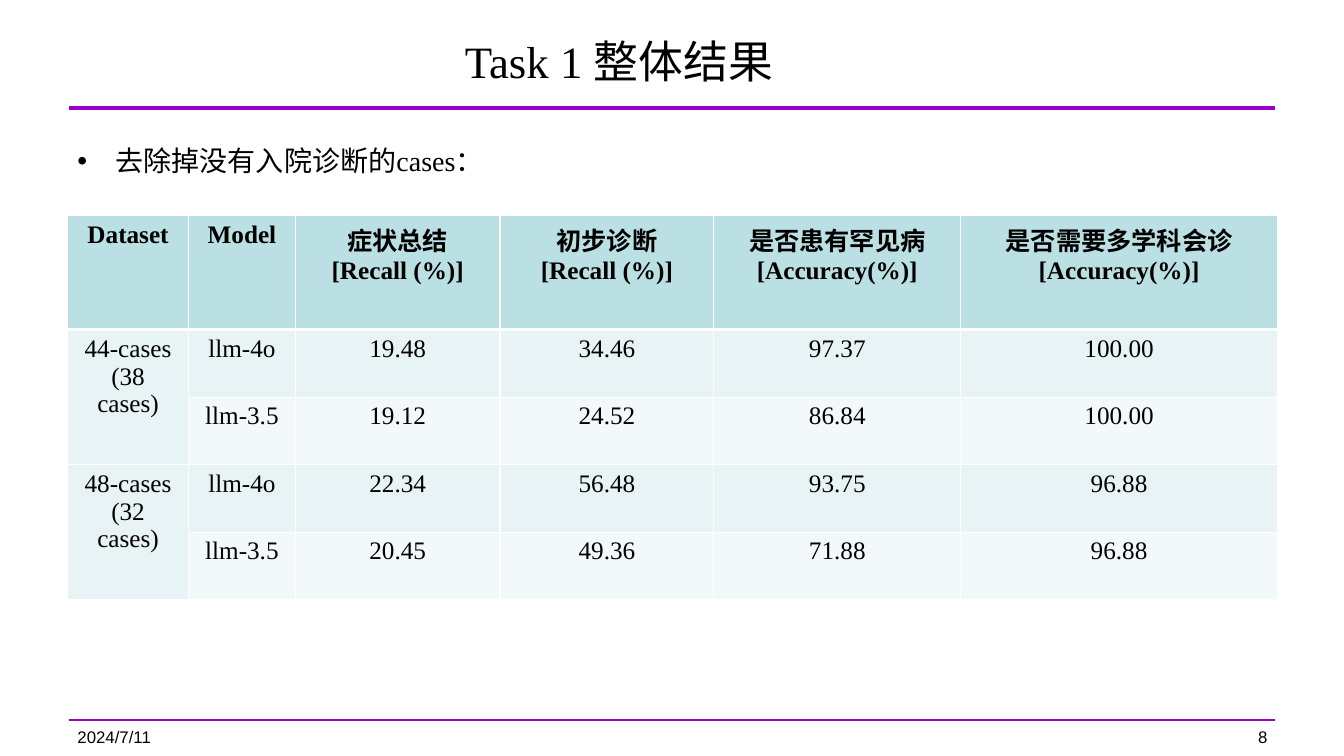
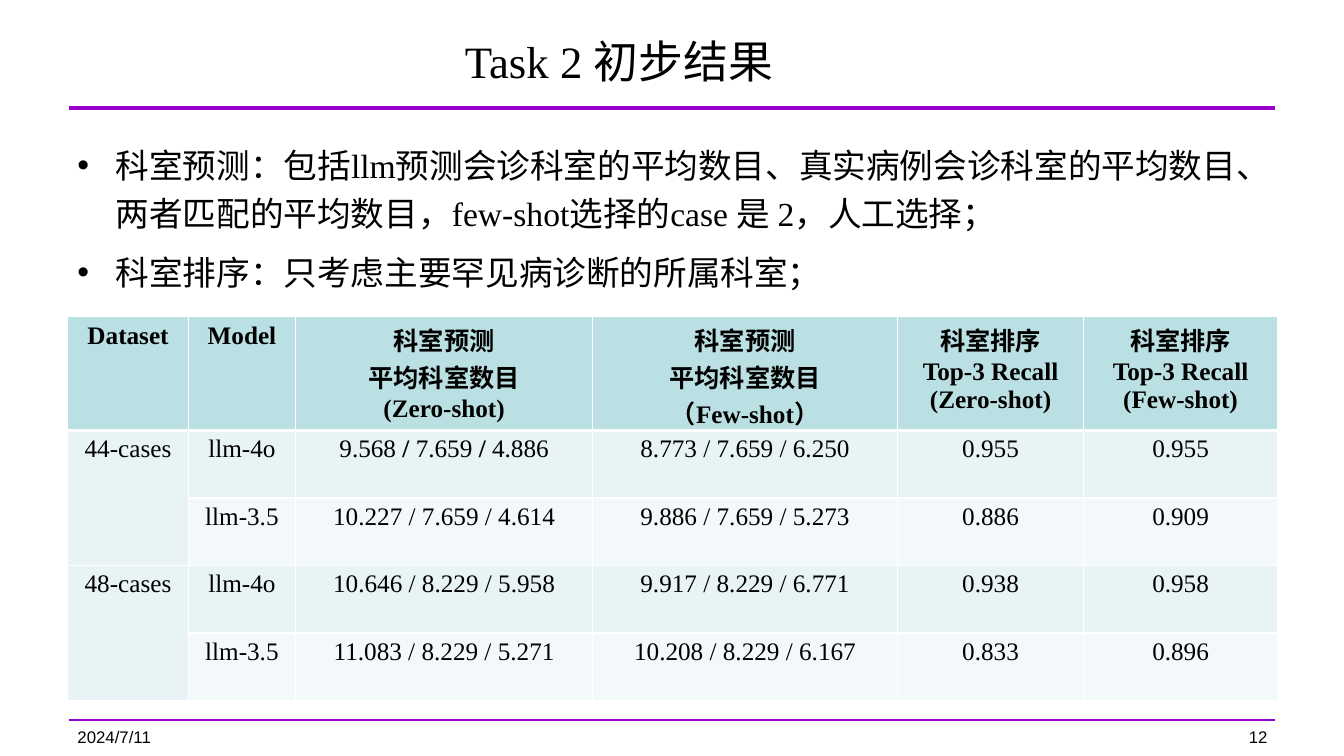
from lxml import etree
from pptx import Presentation
from pptx import util as u
from pptx.dml import color
from pptx.enum import lang, shapes, text
from pptx.oxml import ns

SERIF, SANS = "Times New Roman", "Arial"
PURPLE, BLACK, WHITE = "9900CC", "000000", "FFFFFF"
HEADER_FILL, ODD_FILL, EVEN_FILL = "BBE0E3", "E7F3F4", "F3F9FA"
LEFT, WIDTH = 0.67, 12
HEADER_HEIGHT, ROW_HEIGHT = 1.13, 0.67
DATE = "2024/7/11"
ALIGN = text.PP_ALIGN


def rgb(value):
    """Turn a hex string into a colour."""
    return color.RGBColor.from_string(value)


def sub(parent, tag, **attributes):
    """Append a DrawingML element to a parent."""
    return etree.SubElement(parent, ns.qn(tag), attributes)


def format_text(frame, size, font=SERIF, align=ALIGN.LEFT, bold=False):
    """Give every run of a text frame the same look."""
    for para in frame.paragraphs:
        para.alignment = align
        for span in para.runs:
            span.font.name = font
            span.font.size = u.Pt(size)
            span.font.bold = bold
            span.font.color.rgb = rgb(BLACK)
            span.font.language_id = lang.MSO_LANGUAGE_ID.SIMPLIFIED_CHINESE


def add_text(page, bounds, content, size, **style):
    """Place a wrapped text box and return its frame."""
    frame = page.shapes.add_textbox(*map(u.Inches, bounds)).text_frame
    frame.word_wrap = True
    frame.text = content
    format_text(frame, size, **style)
    return frame


def add_rule(page, top, weight):
    """Draw a purple rule across the page."""
    rule = page.shapes.add_connector(
        shapes.MSO_CONNECTOR.STRAIGHT,
        u.Inches(0.68), u.Inches(top), u.Inches(12.65), u.Inches(top))
    rule.line.color.rgb = rgb(PURPLE)
    rule.line.width = u.Pt(weight)
    sub(rule._element.spPr, "a:effectLst")


def add_page(deck, title, number):
    """Add a page with its title, rules and footer."""
    page = deck.slides.add_slide(deck.slide_layouts[6])
    add_rule(page, 1.07, 3)
    add_rule(page, 7.14, 1.5)
    frame = add_text(page, (LEFT, 0.21, 10.94, 0.79), title, 32, align=ALIGN.CENTER)
    frame.vertical_anchor = text.MSO_ANCHOR.MIDDLE
    add_text(page, (LEFT, 7.16, 3.11, 0.29), DATE, 12, font=SANS)
    add_text(page, (9.56, 7.16, 3.11, 0.29), str(number), 12, font=SANS, align=ALIGN.RIGHT)
    return page


def add_bullets(page, bounds, lines, size):
    """Place a bulleted list with hanging indents."""
    frame = add_text(page, bounds, "\n".join(lines), size)
    indent = u.Inches(0.38)
    for para in frame.paragraphs:
        para.line_spacing = 1.2
        para.space_before = u.Pt(size * 0.3)
        props = para._p.get_or_add_pPr()
        props.set("marL", str(indent))
        props.set("indent", str(-indent))
        sub(props, "a:buFont", typeface=SANS)
        sub(props, "a:buChar", char="•")


def style_cell(cell, fill, top=1, bottom=1):
    """Give a cell white borders and a solid fill."""
    props = cell._tc.get_or_add_tcPr()
    for side, weight in (("L", 1), ("R", 1), ("T", top), ("B", bottom)):
        border = sub(props, f"a:ln{side}", w=str(u.Pt(weight)))
        sub(sub(border, "a:solidFill"), "a:srgbClr", val=WHITE)
    cell.fill.solid()
    cell.fill.fore_color.rgb = rgb(fill)


def add_results(page, top, columns, header, groups):
    """Place a results table whose first column spans each dataset's models."""
    rows = [header]
    for dataset, models in groups:
        rows += [[dataset if i == 0 else "", *model] for i, model in enumerate(models)]
    heights = [HEADER_HEIGHT] + [ROW_HEIGHT] * (len(rows) - 1)
    table = page.shapes.add_table(
        len(rows), len(columns), u.Inches(LEFT), u.Inches(top),
        u.Inches(WIDTH), u.Inches(sum(heights))).table
    table.first_row = table.horz_banding = False
    for column, width in zip(table.columns, columns):
        column.width = u.Inches(width)
    for r, (row, height) in enumerate(zip(rows, heights)):
        table.rows[r].height = u.Inches(height)
        for c, content in enumerate(row):
            cell = table.cell(r, c)
            if r == 0:
                style_cell(cell, HEADER_FILL, bottom=3)
            else:
                fill = ODD_FILL if r % 2 or c == 0 else EVEN_FILL
                style_cell(cell, fill, top=3 if r == 1 else 1)
            cell.text_frame.text = content
            format_text(cell.text_frame, 18, align=ALIGN.CENTER, bold=r == 0)
    first = 1
    for _, models in groups:
        table.cell(first, 0).merge(table.cell(first + len(models) - 1, 0))
        first += len(models)
    return table


def embolden_slashes(cell):
    """Make the slashes between a cell's values bold."""
    para = cell.text_frame.paragraphs[0]
    values = para.text.split("/ ")
    para.text = values[0]
    for value in values[1:]:
        para.add_run().text = "/ "
        para.add_run().text = value
    format_text(cell.text_frame, 18, align=ALIGN.CENTER)
    for span in para.runs[1::2]:
        span.font.bold = True


def build_overall_results(deck):
    """Build the page with the results of task 1."""
    page = add_page(deck, "Task 1 整体结果", 8)
    add_results(
        page, 2.14, [1.2, 1.06, 2.03, 2.12, 2.45, 3.14],
        ["Dataset", "Model", "症状总结\n[Recall (%)]", "初步诊断\n[Recall (%)]",
         "是否患有罕见病\n[Accuracy(%)]", "是否需要多学科会诊[Accuracy(%)]"],
        [("44-cases\n(38 cases)", [
            ["llm-4o", "19.48", "34.46", "97.37", "100.00"],
            ["llm-3.5", "19.12", "24.52", "86.84", "100.00"]]),
         ("48-cases\n(32 cases)", [
             ["llm-4o", "22.34", "56.48", "93.75", "96.88"],
             ["llm-3.5", "20.45", "49.36", "71.88", "96.88"]])])
    add_bullets(page, (LEFT, 1.31, WIDTH, 0.7), ["去除掉没有入院诊断的cases："], 20)


def build_first_results(deck):
    """Build the page with the results of task 2."""
    page = add_page(deck, "Task 2 初步结果", 12)
    add_bullets(page, (LEFT, 1.31, WIDTH, 1.8), [
        "科室预测：包括llm预测会诊科室的平均数目、真实病例会诊科室的平均数目、"
        "两者匹配的平均数目，few-shot选择的case 是 2，人工选择；",
        "科室排序：只考虑主要罕见病诊断的所属科室；"], 24)
    table = add_results(
        page, 3.14, [1.2, 1.06, 2.95, 3.02, 1.85, 1.92],
        ["Dataset", "Model", "科室预测\n平均科室数目\n(Zero-shot)",
         "科室预测\n平均科室数目\n（Few-shot）",
         "科室排序\nTop-3 Recall\n(Zero-shot)", "科室排序\nTop-3 Recall\n(Few-shot)"],
        [("44-cases", [
            ["llm-4o", "9.568 / 7.659 / 4.886", "8.773 / 7.659 / 6.250", "0.955", "0.955"],
            ["llm-3.5", "10.227 / 7.659 / 4.614", "9.886 / 7.659 / 5.273", "0.886", "0.909"]]),
         ("48-cases", [
             ["llm-4o", "10.646 / 8.229 / 5.958", "9.917 / 8.229 / 6.771", "0.938", "0.958"],
             ["llm-3.5", "11.083 / 8.229 / 5.271", "10.208 / 8.229 / 6.167", "0.833", "0.896"]])])
    embolden_slashes(table.cell(1, 2))


def main():
    """Build and save the deck."""
    deck = Presentation()
    deck.slide_width, deck.slide_height = u.Inches(13.33), u.Inches(7.5)
    build_overall_results(deck)
    build_first_results(deck)
    deck.save("out.pptx")


if __name__ == "__main__":
    main()
